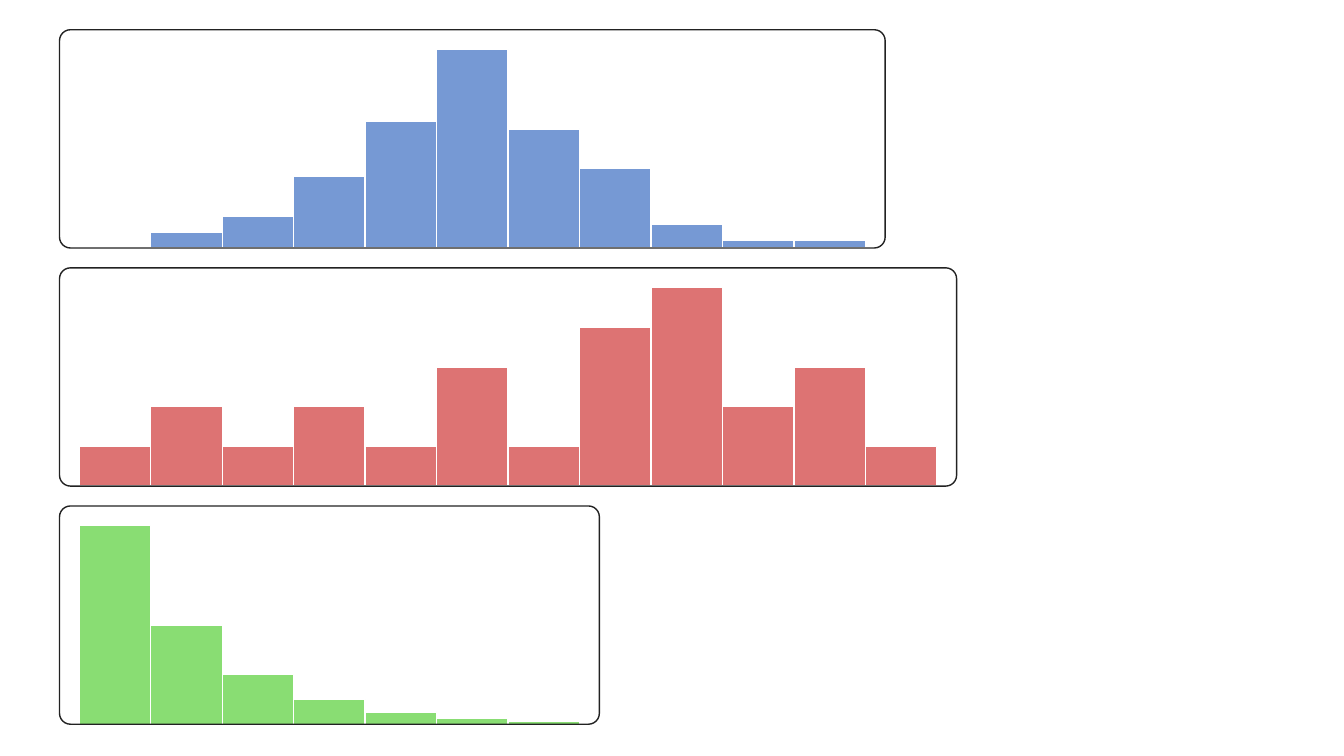
from pptx import Presentation
from pptx.dml.color import RGBColor as RGB
from pptx.enum.shapes import MSO_SHAPE as Kind
from pptx.util import Cm, Inches, Pt

LEFT, TOP, PITCH = 1.5, 0.75, 6
BAR, PEAK, PAD = 1.8, 5, 0.5

PLOTS = [
    ("7699D4", [0, 2, 4, 9, 16, 25, 15, 10, 3, 1, 1]),
    ("DD7373", [1, 2, 1, 2, 1, 3, 1, 4, 5, 2, 3, 1]),
    ("89DD73", [64, 32, 16, 8, 4, 2, 1]),
]


def paint(fmt, color):
    fmt.solid()
    fmt.fore_color.rgb = RGB.from_string(color)


def add_box(group, x, y, w, h, line, fill=None, curve=0):
    """Add a rounded box, measured in cm; without a fill colour it is hollow."""
    box = group.shapes.add_shape(Kind.ROUNDED_RECTANGLE, Cm(x), Cm(y), Cm(w), Cm(h))
    box.adjustments[0] = curve
    box.shadow.inherit = False
    if fill:
        paint(box.fill, fill)
    else:
        box.fill.background()
    paint(box.line.fill, line)
    box.line.width = Pt(1)


def add_plot(slide, top, color, counts):
    """Add a framed histogram whose tallest bar is PEAK cm high."""
    group = slide.shapes.add_group_shape()
    base = top + PAD + PEAK
    for i, count in enumerate(counts):
        high = PEAK * count / max(counts)
        add_box(group, LEFT + PAD + i * BAR, base - high, BAR, high, "FFFFFF", color)
    wide = len(counts) * BAR + 2 * PAD
    add_box(group, LEFT, top, wide, PAD + PEAK, "222222", curve=0.05)


def main():
    deck = Presentation()
    deck.slide_width, deck.slide_height = Inches(13.33), Inches(7.5)
    slide = deck.slides.add_slide(deck.slide_layouts[6])
    for row, (color, counts) in enumerate(PLOTS):
        add_plot(slide, TOP + row * PITCH, color, counts)
    deck.save("out.pptx")


if __name__ == "__main__":
    main()
